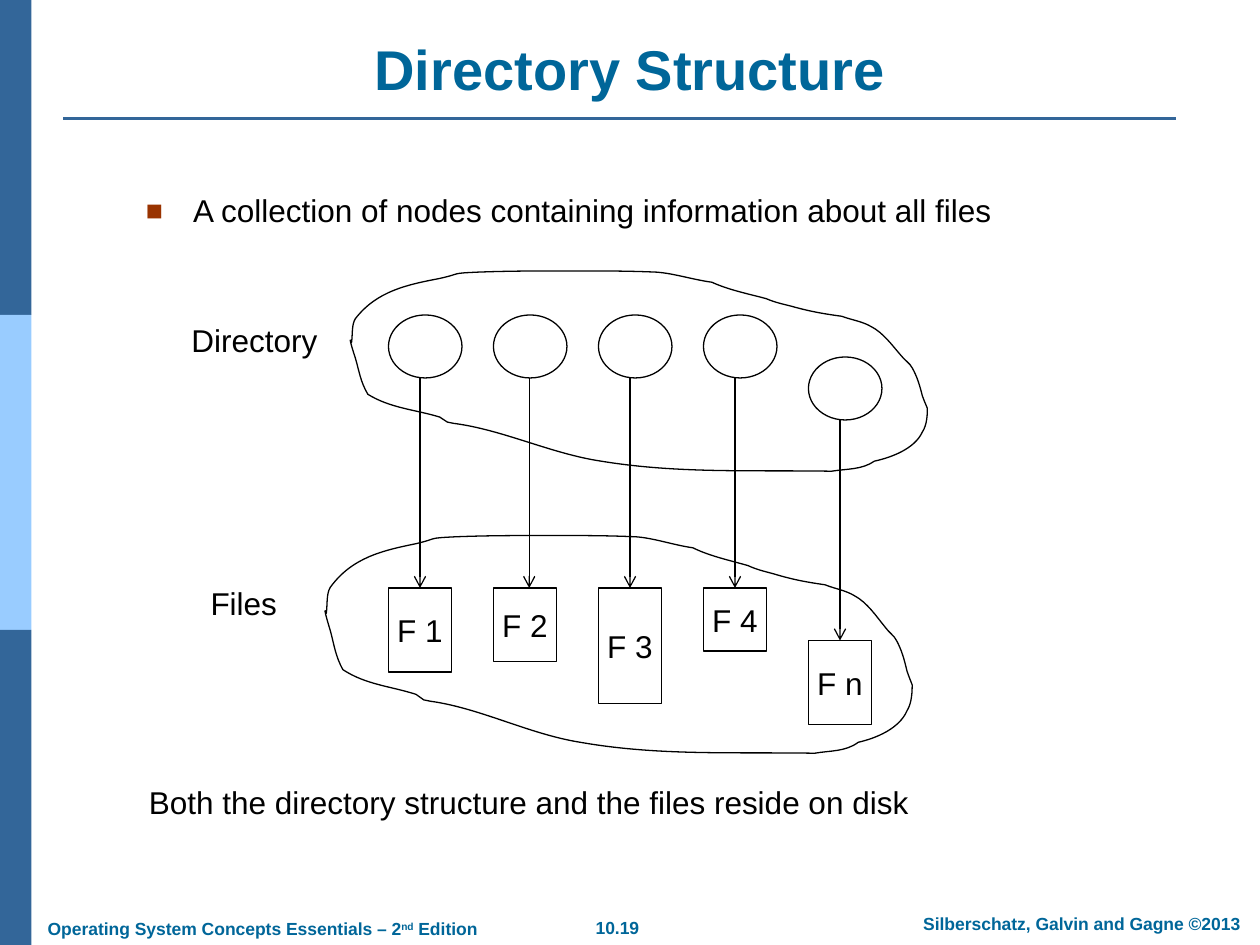
from dataclasses import dataclass

import pptx
import pptx.dml.color
import pptx.enum.shapes
import pptx.enum.text
import pptx.oxml
import pptx.oxml.ns
import pptx.util

SHAPE = pptx.enum.shapes.MSO_SHAPE
ALIGN = pptx.enum.text.PP_ALIGN
ANCHOR = pptx.enum.text.MSO_ANCHOR
AUTO_SIZE = pptx.enum.text.MSO_AUTO_SIZE

TEAL, STEEL, SKY, RUST = "006699", "336699", "99CCFF", "993300"
BLACK, WHITE = "000000", "FFFFFF"

UNIT = 1 / 12  # the diagram sits on a grid of twelfths of an inch
FIRST_COL, COL_STEP = 37, 10
NODE_W, NODE_H, FILE_W = 7, 6, 6

# Outline of the cloud: a start point, then cubic curves of three points each.
CLOUD_W, CLOUD_H = 458, 161
CLOUD_START = (1, 57)
CLOUD_CURVES = [
    (2, 50, 1, 43, 4, 38), (21, 16, 45, 11, 71, 6), (89, 2, 79, 2, 101, 1),
    (126, 0, 151, 0, 177, 0), (199, 0, 221, 0, 243, 1), (257, 2, 272, 7, 287, 9),
    (300, 15, 315, 18, 330, 22), (337, 25, 342, 26, 350, 28),
    (364, 32, 375, 34, 390, 36), (398, 39, 406, 40, 413, 44),
    (423, 49, 430, 59, 437, 67), (440, 71, 444, 73, 446, 77),
    (450, 84, 452, 91, 454, 99), (455, 102, 458, 109, 458, 109),
    (458, 113, 458, 122, 454, 128), (448, 141, 430, 148, 416, 151),
    (406, 158, 394, 157, 382, 159), (318, 158, 260, 161, 199, 151),
    (159, 145, 121, 126, 82, 121), (80, 121, 79, 120, 77, 120),
    (75, 119, 73, 117, 71, 116), (51, 110, 32, 109, 14, 98),
    (8, 88, 7, 79, 4, 69), (4, 69, 0, 57, 0, 55), (0, 54, 1, 56, 1, 57),
]


@dataclass
class Entry:
    """A directory node and its file; rows and heights in grid units."""
    label: str
    file_height: int
    node_row: int = 30
    file_row: int = 56
    arrow_shift: float = 0


ENTRIES = [
    Entry("F 1", 8),
    Entry("F 2", 7, arrow_shift=0.4),
    Entry("F 3", 11),
    Entry("F 4", 6),
    Entry("F n", 8, node_row=34, file_row=61),
]


def inch(value: float) -> int:
    return pptx.util.Inches(value)


def rgb(value: str) -> pptx.dml.color.RGBColor:
    return pptx.dml.color.RGBColor.from_string(value)


def write(sp, text, *, size=18, color=BLACK, bold=False, align=ALIGN.LEFT,
          anchor=ANCHOR.TOP, wrap=True, grow=False, before=0, spacing=None):
    """Fill sp with one paragraph; text is a string or (string, baseline) pairs."""
    tf = sp.text_frame
    tf.word_wrap = wrap
    tf.auto_size = AUTO_SIZE.SHAPE_TO_FIT_TEXT if grow else AUTO_SIZE.NONE
    tf.vertical_anchor = anchor
    p = tf.paragraphs[0]
    p.alignment = align
    p.space_before = pptx.util.Pt(before)
    if spacing:
        p.line_spacing = spacing
    for part, baseline in [(text, 0)] if isinstance(text, str) else text:
        r = p.add_run()
        r.text = part
        r.font.name = "Arial"
        r.font.size = pptx.util.Pt(size)
        r.font.bold = bold
        r.font.color.rgb = rgb(color)
        if baseline:
            r.font._element.set("baseline", str(baseline * 1000))
    return p


def add_text(s, text, left, top, width, height, **style):
    sp = s.shapes.add_textbox(inch(left), inch(top), inch(width), inch(height))
    return write(sp, text, **style)


def add_bullet(p, indent: float, color: str) -> None:
    pPr = p._p.get_or_add_pPr()
    pPr.set("marL", str(inch(indent)))
    pPr.set("indent", str(inch(-indent)))
    ns = pptx.oxml.ns.nsdecls("a")
    for tag in (f'<a:buClr {ns}><a:srgbClr val="{color}"/></a:buClr>',
                f'<a:buSzPct {ns} val="90000"/>',
                f'<a:buFont {ns} typeface="Arial"/>',
                f'<a:buChar {ns} char="■"/>'):
        pPr.append(pptx.oxml.parse_xml(tag))


def add_box(s, kind, left, top, width, height, fill, line=None):
    sp = s.shapes.add_shape(kind, inch(left), inch(top), inch(width), inch(height))
    sp.shadow.inherit = False
    sp.fill.solid()
    sp.fill.fore_color.rgb = rgb(fill)
    if line:
        sp.line.color.rgb = rgb(line)
        sp.line.width = pptx.util.Pt(0.75)
    else:
        sp.line.fill.background()
    return sp


def add_line(s, x1, y1, x2, y2, color, weight, arrow=False):
    line = s.shapes.add_connector(pptx.enum.shapes.MSO_CONNECTOR.STRAIGHT,
                                  inch(x1), inch(y1), inch(x2), inch(y2))
    line.line.color.rgb = rgb(color)
    line.line.width = pptx.util.Pt(weight)
    ns = pptx.oxml.ns.nsdecls("a")
    if arrow:
        line.line._get_or_add_ln().append(
            pptx.oxml.parse_xml(f'<a:tailEnd {ns} type="arrow"/>'))
    line._element.spPr.append(pptx.oxml.parse_xml(f"<a:effectLst {ns}/>"))
    return line


def add_cloud(s, left, top, width, height) -> None:
    """Build the outline through the curve ends, then bend each segment."""
    scale = (inch(width) / CLOUD_W, inch(height) / CLOUD_H)
    builder = s.shapes.build_freeform(*CLOUD_START, scale=scale)
    builder.add_line_segments([curve[4:] for curve in CLOUD_CURVES], close=True)
    sp = builder.convert_to_shape(inch(left), inch(top))
    sp.width, sp.height = inch(width), inch(height)
    outline = sp._element.spPr.find(".//" + pptx.oxml.ns.qn("a:path"))
    outline.set("w", str(CLOUD_W))
    outline.set("h", str(CLOUD_H))
    ns = pptx.oxml.ns.nsdecls("a")
    segments = outline.findall(pptx.oxml.ns.qn("a:lnTo"))
    for segment, curve in zip(segments, CLOUD_CURVES):
        points = "".join(f'<a:pt x="{x}" y="{y}"/>' for x, y in zip(curve[::2], curve[1::2]))
        outline.replace(segment, pptx.oxml.parse_xml(
            f"<a:cubicBezTo {ns}>{points}</a:cubicBezTo>"))
    sp.shadow.inherit = False
    sp.fill.background()
    sp.line.color.rgb = rgb(BLACK)
    sp.line.width = pptx.util.Pt(0.75)


def add_entry(s, col: int, entry: Entry) -> None:
    left = (FIRST_COL + col * COL_STEP) * UNIT
    node_top, file_top = entry.node_row * UNIT, entry.file_row * UNIT
    add_box(s, SHAPE.OVAL, left, node_top, NODE_W * UNIT, NODE_H * UNIT, WHITE, BLACK)
    file = add_box(s, SHAPE.RECTANGLE, left, file_top, FILE_W * UNIT,
                   entry.file_height * UNIT, WHITE, BLACK)
    write(file, entry.label, align=ALIGN.CENTER, anchor=ANCHOR.MIDDLE, wrap=False)
    x = left + (FILE_W / 2 + entry.arrow_shift) * UNIT
    arrow = add_line(s, x, node_top + NODE_H * UNIT, x, file_top, BLACK, 0.75, arrow=True)
    if not entry.arrow_shift:
        arrow.end_connect(file, 0)
        arrow.begin_x = arrow.end_x


def main() -> None:
    prs = pptx.Presentation()
    prs.slide_width, prs.slide_height = inch(10), inch(7.5)
    s = prs.slides.add_slide(prs.slide_layouts[6])

    for row, color in enumerate((STEEL, SKY, STEEL)):
        add_box(s, SHAPE.RECTANGLE, 0, row * 2.5, 0.25, 2.5, color)
    add_line(s, 0.5, 0.94, 9.33, 0.94, STEEL, 1.5)

    footer = dict(size=10, color=TEAL, bold=True, before=6.2, grow=True)
    add_text(s, "10.19", 4.37, 7.23, 1.06, 0.27, align=ALIGN.CENTER, wrap=False, **footer)
    add_text(s, "Silberschatz, Galvin and Gagne ©2013", 7.1, 7.2, 2.97, 0.27,
             align=ALIGN.CENTER, **footer)
    add_text(s, [("Operating System Concepts Essentials – 2", 0), ("nd", 30), (" Edition", 0)],
             0.28, 7.24, 3.61, 0.27, wrap=False, **footer)

    add_text(s, "Directory Structure", 0.5, 0.23, 9, 0.63, size=32, color=TEAL,
             bold=True, align=ALIGN.CENTER, anchor=ANCHOR.BOTTOM)
    p = add_text(s, "A collection of nodes containing information about all files",
                 1.06, 1.5, 8.06, 0.39, before=7.9, spacing=0.9)
    add_bullet(p, 3 / 8, RUST)

    for col, entry in enumerate(ENTRIES):
        add_entry(s, col, entry)
    add_cloud(s, 2.78, 2.15, 4.58, 1.61)
    add_cloud(s, 2.58, 4.25, 4.66, 1.75)

    caption = dict(align=ALIGN.CENTER, anchor=ANCHOR.MIDDLE, wrap=False, grow=True, before=11.2)
    add_text(s, "Directory", 1.42, 30 * UNIT, 1.2, 0.4, **caption)
    add_text(s, "Files", 1.57, 55 * UNIT, 0.73, 0.4, **caption)
    add_text(s, "Both the directory structure and the files reside on disk",
             13 * UNIT, 74 * UNIT, 8.31, 0.42)
    prs.save("out.pptx")


if __name__ == "__main__":
    main()
